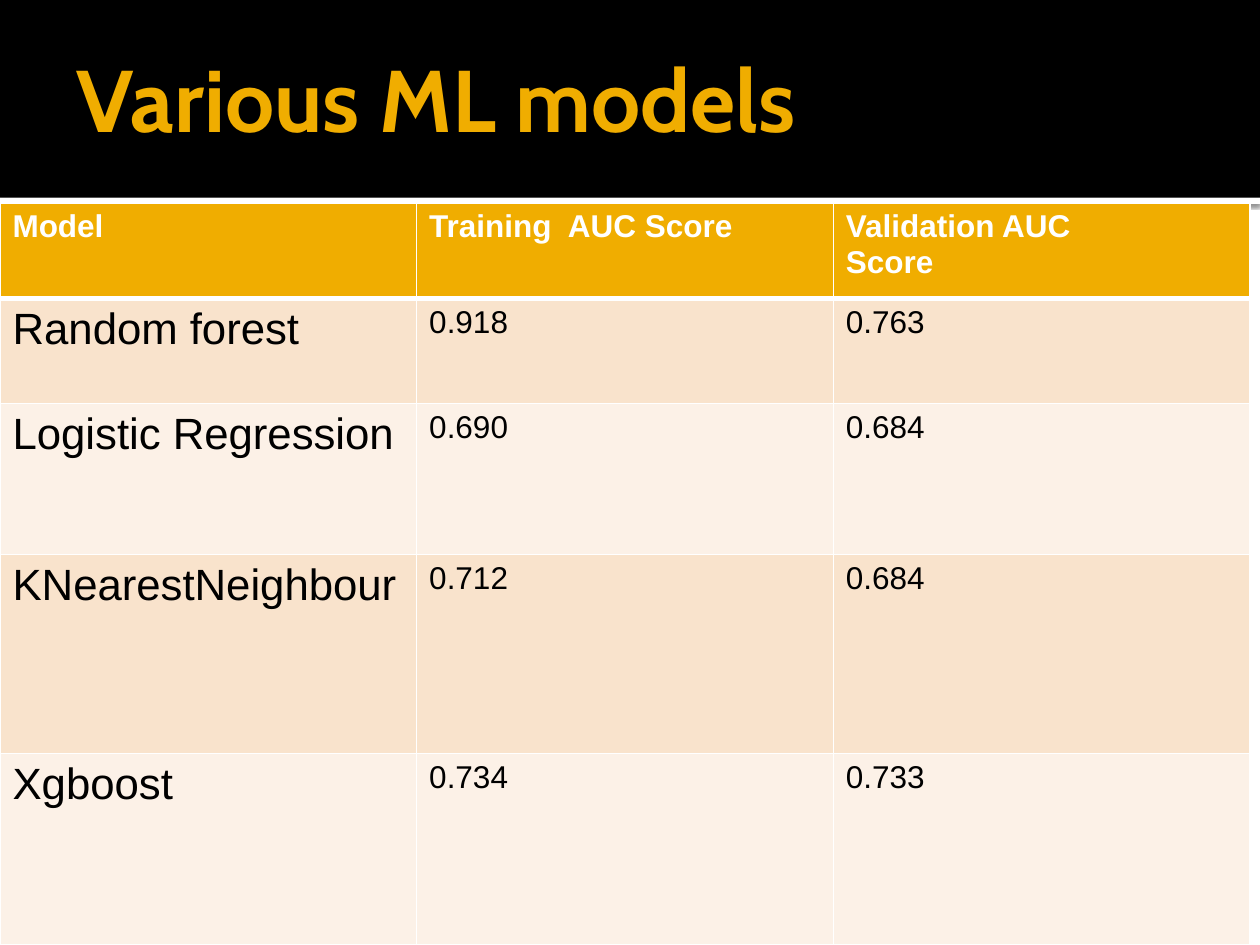
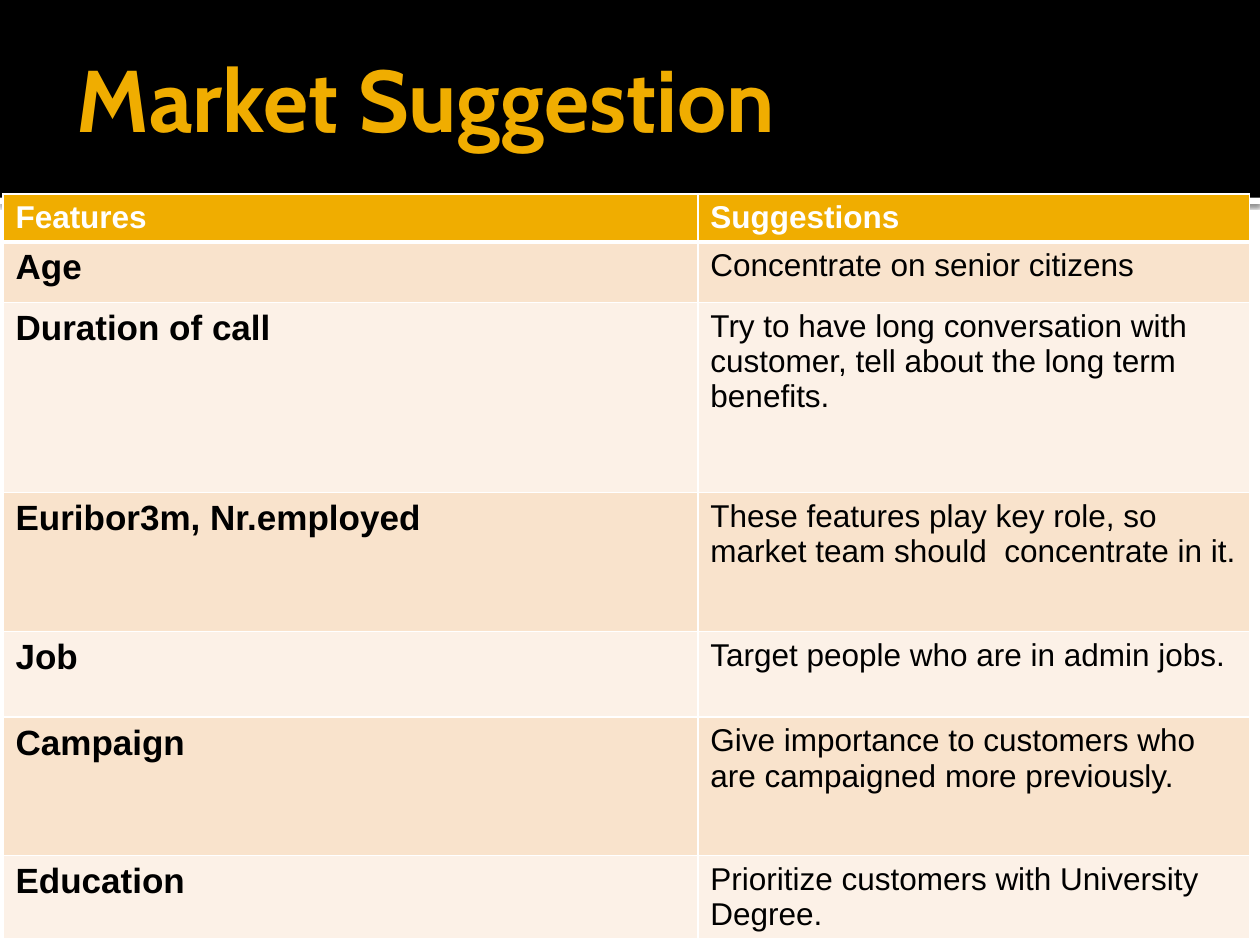
from dataclasses import dataclass

from lxml import etree
from pptx import Presentation
from pptx.dml.color import RGBColor
from pptx.enum import shapes, text
from pptx.oxml import ns
from pptx.util import Pt

GOLD = RGBColor(0xF0, 0xAD, 0x00)
BLACK = RGBColor(0, 0, 0)
WHITE = RGBColor(0xFF, 0xFF, 0xFF)
PEACH = RGBColor(0xF9, 0xE3, 0xCC)
CREAM = RGBColor(0xFC, 0xF1, 0xE7)
TITLE_FONT, BODY_FONT = "Cabin", "Arial"
SLIDE_WIDTH, SLIDE_HEIGHT = 720, 540
BAND_HEIGHT = 113
THIN, THICK = 1, 3


@dataclass(frozen=True)
class Band:
    top: float
    height: float
    color: RGBColor
    shadowed: bool = False


@dataclass(frozen=True)
class TableSlide:
    title: str
    left: float
    top: float
    columns: list[float]
    row_heights: list[float]
    rows: list[tuple[str, ...]]
    label_size: float
    label_bold: bool


BANDS = [
    Band(BAND_HEIGHT, 3.6, WHITE, shadowed=True),
    Band(0, BAND_HEIGHT, BLACK),
]

TABLE_SLIDES = [
    TableSlide(
        "Various ML models", 0, 116, [238.1] * 3,
        [54.7, 59.8, 86.4, 113.8, 109.4],
        [
            ("Model", "Training  AUC Score", "Validation AUC\nScore"),
            ("Random forest", "0.918", "0.763"),
            ("Logistic Regression", "0.690", "0.684"),
            ("KNearestNeighbour", "0.712", "0.684"),
            ("Xgboost", "0.734", "0.733"),
        ],
        label_size=25, label_bold=False,
    ),
    TableSlide(
        "Market Suggestion", 1.7, 110.9, [397.1, 315.2],
        [27.4, 34.6, 108.7, 79.2, 49, 79.2, 47.5],
        [
            ("Features", "Suggestions"),
            ("Age", "Concentrate on senior citizens"),
            ("Duration of call", "Try to have long conversation with customer, "
                                 "tell about the long term benefits."),
            ("Euribor3m, Nr.employed", "These features play key role, so market team "
                                       "should  concentrate in it."),
            ("Job", "Target people who are in admin jobs."),
            ("Campaign", "Give importance to customers who are campaigned "
                         "more previously."),
            ("Education", "Prioritize customers with University Degree."),
        ],
        label_size=20, label_bold=True,
    ),
]


def write(frame, content: str, *, font: str = BODY_FONT, size: float = 18,
          color: RGBColor = BLACK, bold: bool = False) -> None:
    """Fill a text frame, one paragraph per line of content."""
    frame.text = content
    for paragraph in frame.paragraphs:
        paragraph.alignment = text.PP_ALIGN.LEFT
        for run in paragraph.runs:
            run.font.name = font
            run.font.size = Pt(size)
            run.font.bold = bold
            run.font.color.rgb = color


def add_child(parent, tag: str, **attributes):
    values = {name: str(value) for name, value in attributes.items()}
    return etree.SubElement(parent, ns.qn(tag), values)


def add_shadow(shape) -> None:
    effects = shape.element.spPr.find(ns.qn("a:effectLst"))
    shadow = add_child(effects, "a:outerShdw", blurRad=Pt(2.5), dist=Pt(0.8),
                       dir=90 * 60000, algn="tl", rotWithShape=0)
    tint = add_child(shadow, "a:srgbClr", val=BLACK)
    add_child(tint, "a:alpha", val=60000)


def draw_band(slide, band: Band) -> None:
    bar = slide.shapes.add_shape(shapes.MSO_SHAPE.RECTANGLE, 0, Pt(band.top),
                                 Pt(SLIDE_WIDTH), Pt(band.height))
    bar.fill.solid()
    bar.fill.fore_color.rgb = band.color
    bar.line.fill.background()
    bar.shadow.inherit = False
    if band.shadowed:
        add_shadow(bar)


def draw_title(slide, content: str) -> None:
    """Format the title and lift it above the bands."""
    title = slide.shapes.title
    title.left, title.top, title.width, title.height = Pt(36), 0, Pt(648), Pt(111)
    frame = title.text_frame
    frame.margin_left = Pt(8)
    frame.margin_right = frame.margin_top = frame.margin_bottom = Pt(4)
    frame.vertical_anchor = text.MSO_ANCHOR.MIDDLE
    frame.auto_size = text.MSO_AUTO_SIZE.NONE
    write(frame, content, font=TITLE_FONT, size=50, color=GOLD, bold=True)
    title.element.getparent().append(title.element)


def style_cell(cell, fill: RGBColor, top: float, bottom: float) -> None:
    properties = cell._tc.get_or_add_tcPr()
    for side, width in (("L", THIN), ("R", THIN), ("T", top), ("B", bottom)):
        border = add_child(properties, f"a:ln{side}", w=Pt(width))
        add_child(add_child(border, "a:solidFill"), "a:srgbClr", val=WHITE)
    cell.fill.solid()
    cell.fill.fore_color.rgb = fill


def draw_table(slide, content: TableSlide) -> None:
    table = slide.shapes.add_table(
        len(content.rows), len(content.columns), Pt(content.left), Pt(content.top),
        Pt(sum(content.columns)), Pt(sum(content.row_heights))).table
    table.first_row = table.horz_banding = False
    for column, width in zip(table.columns, content.columns):
        column.width = Pt(width)
    for r, (height, entries) in enumerate(zip(content.row_heights, content.rows)):
        table.rows[r].height = Pt(height)
        for c, entry in enumerate(entries):
            cell = table.cell(r, c)
            if r == 0:
                style_cell(cell, GOLD, THIN, THICK)
                write(cell.text_frame, entry, color=WHITE, bold=True)
                continue
            style_cell(cell, PEACH if r % 2 else CREAM, THICK if r == 1 else THIN, THIN)
            if c == 0:
                write(cell.text_frame, entry, size=content.label_size,
                      bold=content.label_bold)
            else:
                write(cell.text_frame, entry)


def main() -> None:
    deck = Presentation()
    deck.slide_width, deck.slide_height = Pt(SLIDE_WIDTH), Pt(SLIDE_HEIGHT)
    title_only = deck.slide_layouts.get_by_name("Title Only")
    for content in TABLE_SLIDES:
        slide = deck.slides.add_slide(title_only)
        for band in BANDS:
            draw_band(slide, band)
        draw_title(slide, content.title)
        draw_table(slide, content)
    deck.save("out.pptx")


if __name__ == "__main__":
    main()
